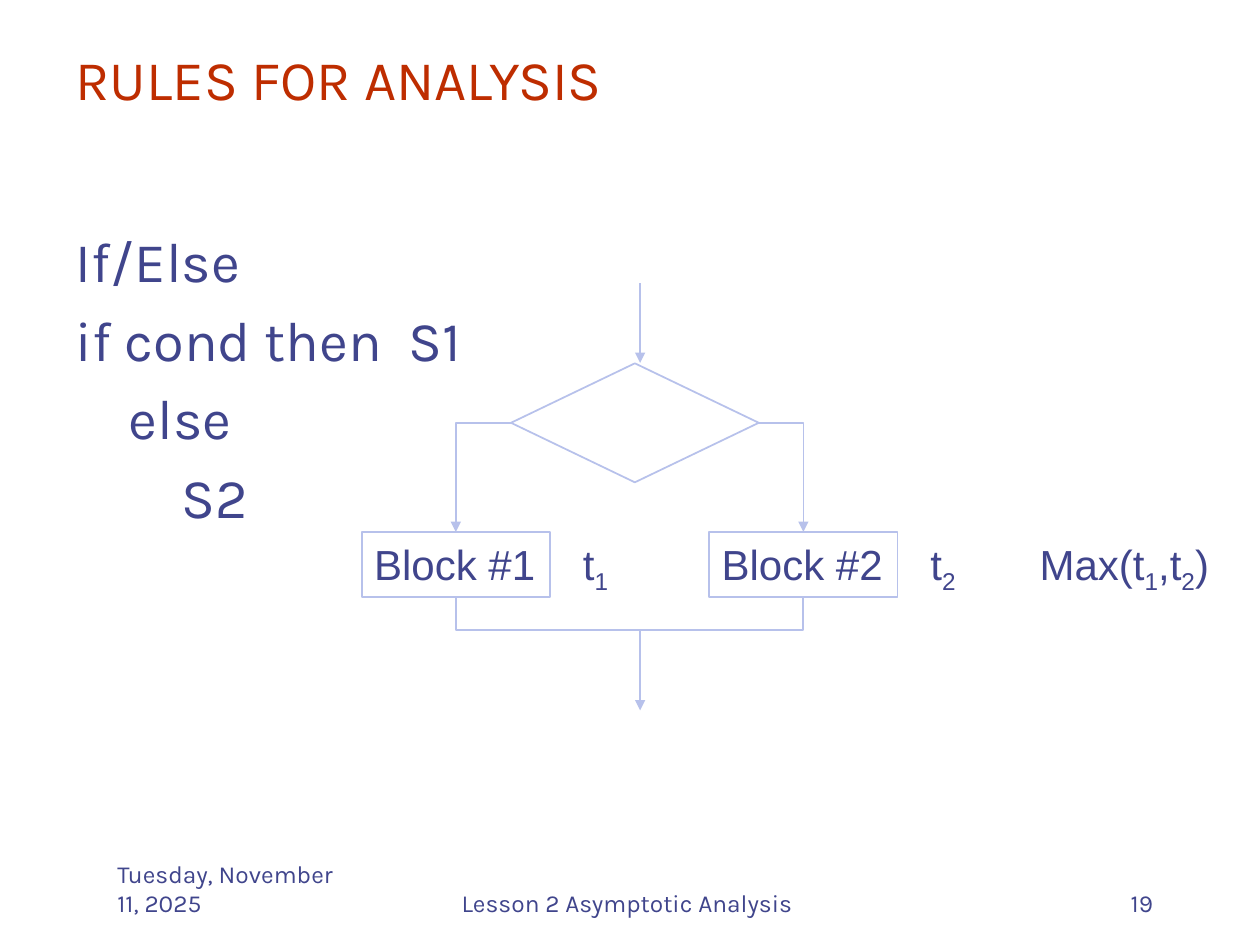
import pptx
import pptx.dml.color
import pptx.enum.shapes
import pptx.enum.text
import pptx.oxml
import pptx.oxml.ns
import pptx.util

Pt = pptx.util.Pt
SHAPES = pptx.enum.shapes.MSO_SHAPE
LINES = pptx.enum.shapes.MSO_CONNECTOR
ALIGN = pptx.enum.text.PP_ALIGN
ANCHOR = pptx.enum.text.MSO_ANCHOR
FIT = pptx.enum.text.MSO_AUTO_SIZE

COLORS = {"title": "BE2D00", "text": "40458C", "line": "B7C1EB"}
HEADING = {"name": "Karla", "size": Pt(32)}
FOOTER = {"name": "Karla", "size": Pt(14)}
DIAGRAM = {"name": "Arial", "size": Pt(24)}
FIXED = {"word_wrap": True, "auto_size": FIT.NONE, "vertical_anchor": ANCHOR.TOP}
GROWING = {"word_wrap": False, "auto_size": FIT.SHAPE_TO_FIT_TEXT,
           "vertical_anchor": ANCHOR.TOP}
TOP, LEFT, BOTTOM, RIGHT = range(4)


def rgb(key):
    return pptx.dml.color.RGBColor.from_string(COLORS[key])


def apply(target, values):
    for name, value in values.items():
        setattr(target, name, value)


def style_font(font, values, color="text"):
    apply(font, values)
    font.color.rgb = rgb(color)


def add_child(parent, tag, **attributes):
    child = pptx.oxml.parse_xml(f"<{tag} {pptx.oxml.ns.nsdecls('a')}/>")
    for name, value in attributes.items():
        child.set(name, str(value))
    parent.append(child)


def fill_placeholder(holder, box, lines, color, space=0):
    apply(holder, dict(zip(("left", "top", "width", "height"), map(Pt, box))))
    frame = holder.text_frame
    apply(frame, FIXED)
    frame.text = "\n".join(lines)
    for number, paragraph in enumerate(frame.paragraphs):
        properties = paragraph._p.get_or_add_pPr()
        properties.set("marL", str(Pt(27) if space else 0))
        properties.set("indent", str(-Pt(27) if space else 0))
        apply(paragraph, {"alignment": ALIGN.LEFT,
                          "space_before": Pt(space if number else 0)})
        add_child(properties, "a:buNone")
        style_font(paragraph.font, HEADING, color)


def add_footer(slide, left, width, text, alignment):
    frame = slide.shapes.add_textbox(Pt(left), Pt(492), Pt(width), Pt(36)).text_frame
    apply(frame, {**FIXED, "vertical_anchor": ANCHOR.BOTTOM})
    paragraph = frame.paragraphs[0]
    paragraph.text = text
    paragraph.alignment = alignment
    style_font(paragraph.font, FOOTER)


def add_formula(slide, left, width, parts):
    """Digits in parts are set as subscripts."""
    frame = slide.shapes.add_textbox(Pt(left), Pt(304), Pt(width), Pt(36)).text_frame
    apply(frame, GROWING)
    for part in parts:
        run = frame.paragraphs[0].add_run()
        run.text = part
        style_font(run.font, DIAGRAM)
        if part.isdigit():
            run._r.get_or_add_rPr().set("baseline", "-25000")


def add_node(slide, kind, box, text=""):
    node = slide.shapes.add_shape(kind, *map(Pt, box))
    node.shadow.inherit = False
    node.fill.background()
    node.line.color.rgb = rgb("line")
    node.line.width = Pt(1)
    if text:
        apply(node.text_frame, GROWING)
        paragraph = node.text_frame.paragraphs[0]
        paragraph.text = text
        paragraph.alignment = ALIGN.LEFT
        style_font(paragraph.font, DIAGRAM)
    return node


def add_line(slide, kind, points=(0, 0, 0, 0), arrow=True):
    line = slide.shapes.add_connector(kind, *map(Pt, points))
    line.line.color.rgb = rgb("line")
    line.line.width = Pt(1)
    if arrow:
        add_child(line.line._get_or_add_ln(), "a:tailEnd", type="triangle")
    add_child(line._element.spPr, "a:effectLst")
    return line


def add_branch(slide, decision, side, block):
    branch = add_line(slide, LINES.ELBOW)
    branch.begin_connect(decision, side)
    branch.end_connect(block, TOP)
    branch._element.spPr.prstGeom.set("prst", "bentConnector2")


def add_merge(slide, first, second, drop):
    """U-shaped connector: a thin elbow turned on its side."""
    merge = add_line(slide, LINES.ELBOW, arrow=False)
    merge.begin_connect(first, BOTTOM)
    merge.end_connect(second, BOTTOM)
    span = second.left - first.left
    middle = first.left + (first.width + span) // 2
    thin = Pt(0.1)
    apply(merge, {"left": middle - thin // 2, "width": thin, "height": span,
                  "top": first.top + first.height - span // 2})
    frame = merge._element.spPr.find(pptx.oxml.ns.qn("a:xfrm"))
    frame.set("rot", str(270 * 60000))
    frame.set("flipH", "1")
    guides = merge._element.spPr.prstGeom.get_or_add_avLst()
    add_child(guides, "a:gd", name="adj1", fmla=f"val {Pt(drop) * 100000 // thin}")


def main():
    deck = pptx.Presentation()
    apply(deck, {"slide_width": Pt(720), "slide_height": Pt(540)})
    slide = deck.slides.add_slide(deck.slide_layouts[1])

    # Title and pseudocode
    fill_placeholder(slide.shapes.title, (36, 21.6, 648, 90),
                     ["RULES FOR ANALYSIS"], "title")
    fill_placeholder(slide.placeholders[1], (36, 126, 648, 356.4),
                     ["If/Else", "if cond then  S1", "    else", "        S2"],
                     "text", space=6.4)

    # Footer
    add_footer(slide, 60, 150, "Tuesday, November 11, 2025", ALIGN.LEFT)
    add_footer(slide, 246, 228, "Lesson 2 Asymptotic Analysis ", ALIGN.CENTER)
    add_footer(slide, 516, 150, "19", ALIGN.RIGHT)

    # Flowchart: decision, two blocks with their times
    decision = add_node(slide, SHAPES.FLOWCHART_DECISION, (292, 207.6, 141.6, 68))
    blocks = []
    for number, side in enumerate((LEFT, RIGHT)):
        shift = 198.6 * number
        block = add_node(slide, SHAPES.RECTANGLE, (206.7 + shift, 304, 107.6, 37.2),
                         f"Block #{number + 1}")
        add_branch(slide, decision, side, block)
        add_formula(slide, 326 + shift, 30, ["t", str(number + 1)])
        blocks.append(block)
    add_merge(slide, *blocks, drop=16.5)

    # Entry and exit arrows
    for start in (161.8, 360.4):
        add_line(slide, LINES.STRAIGHT, (365.8, start, 365.8, start + 45.6))

    # Total time
    add_formula(slide, 587, 113.6, ["Max(t", "1", ",t", "2", ")"])

    deck.save("out.pptx")


if __name__ == "__main__":
    main()
